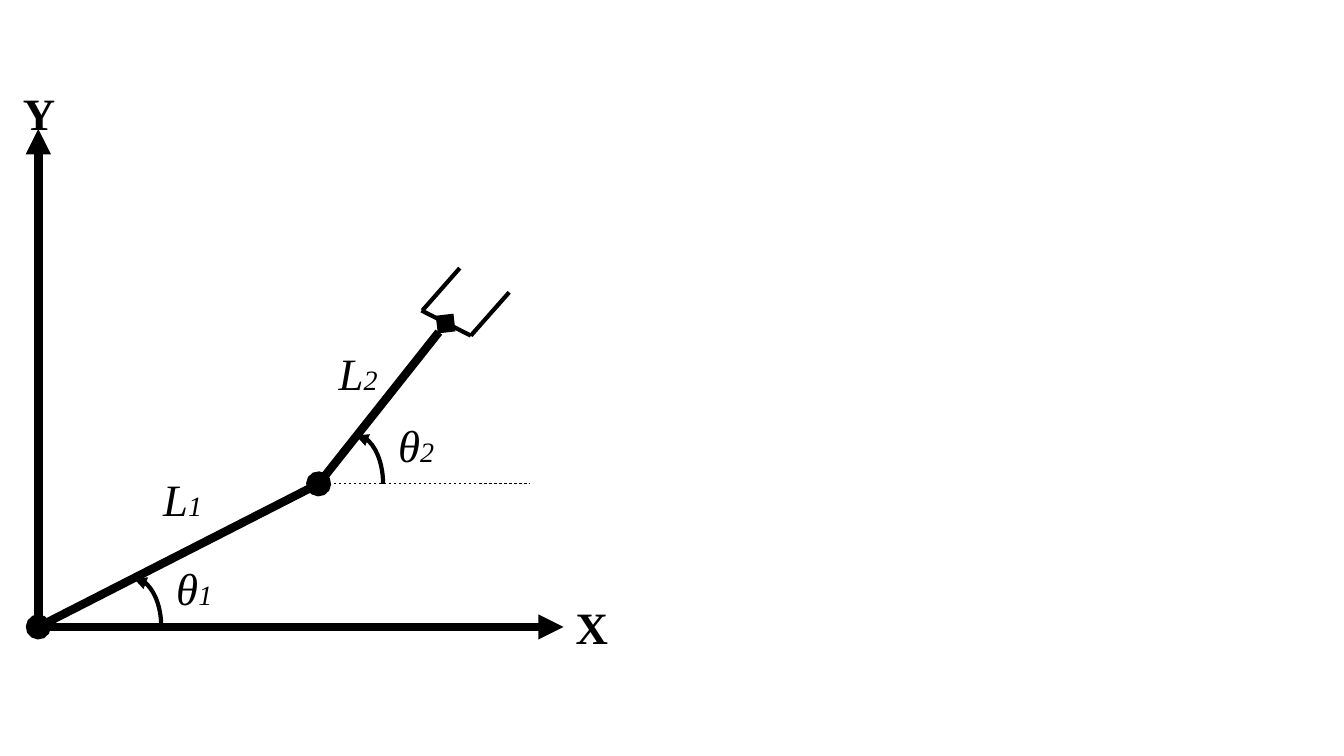
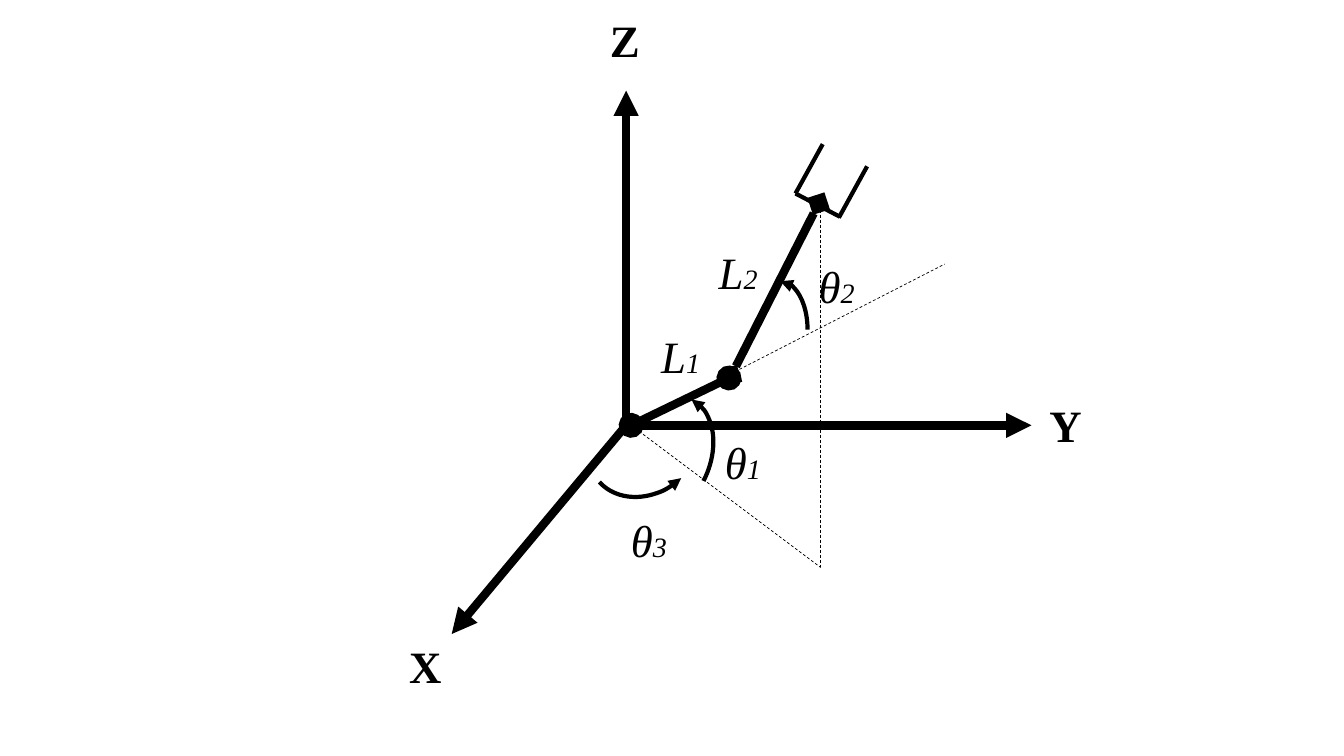
from lxml.etree import SubElement
from pptx import Presentation
from pptx.dml.color import RGBColor
from pptx.enum.dml import MSO_LINE as DASH
from pptx.enum.shapes import MSO_CONNECTOR as CONN, MSO_SHAPE as SHAPE
from pptx.enum.text import MSO_AUTO_SIZE as FIT
from pptx.oxml.ns import qn
from pptx.util import Pt

PX = 9144  # 100 px to the inch
INK = "000000"
FACE = "Times New Roman"
BIG, SMALL = 32, 20
WIDE = {"θ": 56, "L": 59, "X": 53, "Y": 53, "Z": 50}
TALL = 64

# Line styles: width in points, start cap, end cap, dashed
STYLES = {
    "axis": (6, None, "triangle", False),
    "joint": (6, "oval", "oval", False),
    "wrist": (6, "diamond", "diamond", False),
    "grip": (3, None, None, False),
    "guide": (0.5, None, None, True),
}

# Lines: style, x1, y1, x2, y2
# Arcs: left, top, width, height, turn
# Labels: letter, index, left, top
PLANE = {
    "lines": [
        ("axis", 38, 622, 38, 128),
        ("axis", 33, 622, 559, 622),
        ("joint", 38, 622, 316, 480),
        ("wrist", 316, 480, 442, 321),
        ("grip", 419, 308, 456, 266),
        ("grip", 467, 333, 505, 290),
        ("grip", 418, 308, 467, 333),
        ("guide", 316, 480, 525, 480),
    ],
    "arcs": [(106, 574, 54, 96, 0), (326, 432, 54, 96, 0)],
    "labels": [
        ("θ", "1", 165, 551), ("θ", "2", 385, 409),
        ("Y", "", 13, 80), ("X", "", 561, 590),
        ("L", "1", 152, 463), ("L", "2", 326, 338),
    ],
}
SPACE = {
    "lines": [
        ("wrist", 725, 373, 812, 202),
        ("grip", 789, 192, 816, 143),
        ("grip", 832, 216, 860, 165),
        ("grip", 789, 192, 833, 215),
        ("guide", 707, 380, 937, 262),
        ("axis", 621, 422, 448, 629),
        ("axis", 621, 422, 621, 90),
        ("axis", 617, 422, 1023, 422),
        ("joint", 626, 422, 723, 375),
        ("guide", 622, 419, 814, 563),
        ("guide", 814, 208, 814, 563),
    ],
    "arcs": [
        (608, 389, 95, 133, 27.2),
        (747, 279, 54, 96, 0),
        (578, 384, 125, 104, 137.5),
    ],
    "labels": [
        ("θ", "1", 709, 426), ("θ", "2", 802, 252), ("θ", "3", 616, 504),
        ("L", "1", 646, 321), ("L", "2", 703, 238),
        ("Z", "", 595, 8), ("Y", "", 1031, 390), ("X", "", 396, 629),
    ],
}


def scale(*nums):
    return [n * PX for n in nums]


def color(text):
    return RGBColor.from_string(text)


def stroke(shape, width, head=None, tail=None, dashed=False):
    line = shape.line
    line.color.rgb = color(INK)
    line.width = Pt(width)
    if dashed:
        line.dash_style = DASH.DASH
    edge = shape.element.spPr.find(qn("a:ln"))
    for tag, cap in (("a:headEnd", head), ("a:tailEnd", tail)):
        if cap:
            SubElement(edge, qn(tag), type=cap)


def add_line(slide, style, *ends):
    line = slide.shapes.add_connector(CONN.STRAIGHT, *scale(*ends))
    stroke(line, *STYLES[style])
    SubElement(line.element.spPr, qn("a:effectLst"))


def add_arc(slide, left, top, width, height, turn):
    arc = slide.shapes.add_shape(SHAPE.ARC, *scale(left, top, width, height))
    arc.rotation = turn
    arc.fill.background()
    arc.shadow.inherit = False
    stroke(arc, 3, head="triangle")


def add_label(slide, letter, index, left, top):
    box = slide.shapes.add_textbox(*scale(left, top, WIDE[letter], TALL))
    frame = box.text_frame
    frame.word_wrap = False
    frame.auto_size = FIT.SHAPE_TO_FIT_TEXT
    para = frame.paragraphs[0]
    font = para.font
    font.name = FACE
    font.size = Pt(BIG)
    font.color.rgb = color(INK)
    font.bold = not index
    font.italic = bool(index)
    para.add_run().text = letter
    if index:
        run = para.add_run()
        run.text = index
        run.font.size = Pt(SMALL)


def main():
    deck = Presentation()
    deck.slide_width, deck.slide_height = scale(1333, 750)
    for arm in (PLANE, SPACE):
        slide = deck.slides.add_slide(deck.slide_layouts[6])
        for key, draw in (("lines", add_line), ("arcs", add_arc),
                          ("labels", add_label)):
            for item in arm[key]:
                draw(slide, *item)
    deck.save("out.pptx")


if __name__ == "__main__":
    main()
